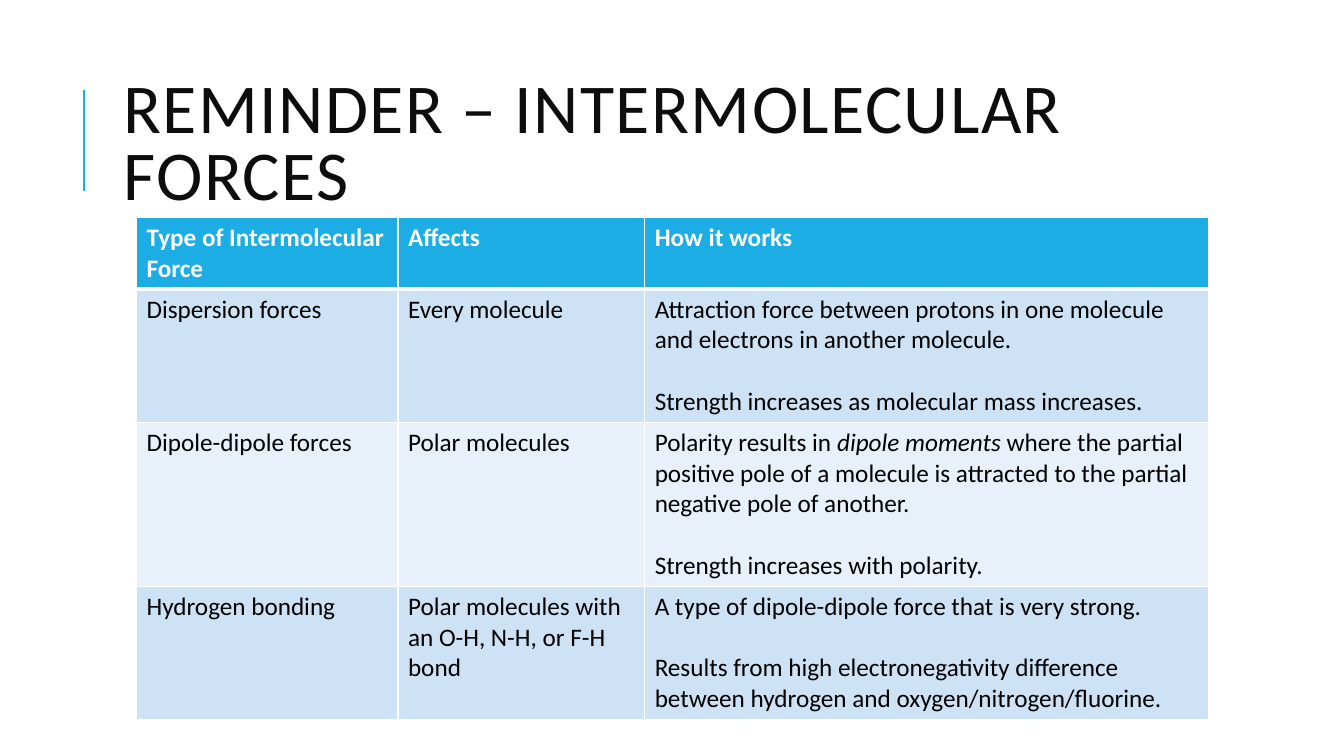
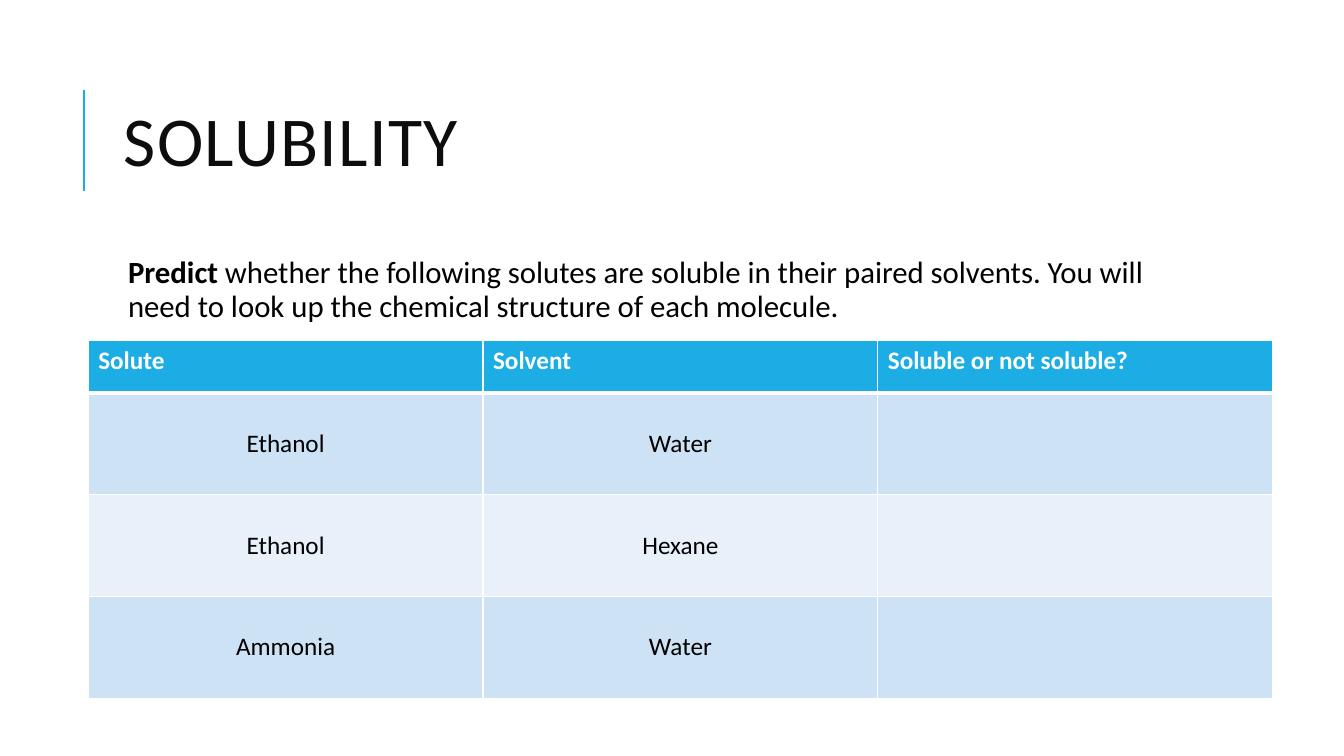
"""Build two chemistry slides: intermolecular forces and solubility."""
from dataclasses import dataclass

from lxml.etree import SubElement
from pptx import Presentation
from pptx.dml.color import RGBColor
from pptx.enum.shapes import MSO_CONNECTOR as Connector
from pptx.enum.text import MSO_ANCHOR as Anchor, MSO_AUTO_SIZE as AutoSize, PP_ALIGN as Align
from pptx.oxml.ns import qn
from pptx.slide import Slide
from pptx.table import _Cell as Cell
from pptx.text.text import TextFrame, _Paragraph as Paragraph
from pptx.util import Emu, Pt

PX = 9525
FONT = "Calibri"
COLORS = {
    "accent": "1CADE4",
    "title": "0D0D0D",
    "text": "000000",
    "white": "FFFFFF",
    "band_dark": "CDE3F5",
    "band_light": "E8F1FA",
}
BLANK_LINE = 22


@dataclass(frozen=True)
class Box:
    """A rectangle in px."""
    left: int
    top: int
    width: int
    height: int


@dataclass(frozen=True)
class Run:
    """A piece of text with its own emphasis."""
    text: str
    bold: bool = False
    italic: bool = False


Text = tuple[tuple[Run, ...], ...]


@dataclass(frozen=True)
class Grid:
    """A table with its place in px; the first row is the header."""
    left: int
    top: int
    cols: tuple[int, ...]
    heights: tuple[int, ...]
    rows: tuple[tuple[Text, ...], ...]
    centered: bool = False


TITLE_BOX = Box(108, 61, 1020, 157)
PROMPT_BOX = Box(108, 240, 1020, 422)


def px(n: int) -> Emu:
    """Turn px into EMU."""
    return Emu(n * PX)


def place(box: Box) -> tuple[Emu, Emu, Emu, Emu]:
    """Give a box as EMU lengths."""
    return px(box.left), px(box.top), px(box.width), px(box.height)


def rgb(name: str) -> RGBColor:
    """Look up a colour."""
    return RGBColor.from_string(COLORS[name])


def plain(*lines: str) -> Text:
    """Make one unemphasised paragraph from each line."""
    return tuple((Run(line),) for line in lines)


def style(p: Paragraph, size: int, color: str, bold: bool = False) -> None:
    """Set the font of a paragraph."""
    p.font.name = FONT
    p.font.size = Pt(size)
    p.font.bold = bold
    p.font.color.rgb = rgb(color)


def write(tf: TextFrame, text: Text, size: int, color: str, bold: bool = False) -> None:
    """Fill a text frame, leaving one line's space between paragraphs."""
    for i, runs in enumerate(text):
        p = tf.add_paragraph() if i else tf.paragraphs[0]
        if i:
            p.space_before = Pt(BLANK_LINE)
        style(p, size, color, bold)
        for run in runs:
            r = p.add_run()
            r.text = run.text
            if run.bold:
                r.font.bold = True
            if run.italic:
                r.font.italic = True


def add_titled_slide(prs: Presentation, title: str) -> Slide:
    """Add a slide with the shared title and accent line."""
    s = prs.slides.add_slide(prs.slide_layouts[5])
    line = s.shapes.add_connector(Connector.STRAIGHT, px(80), px(182), px(80), px(86))
    line.line.color.rgb = rgb("accent")
    line.line.width = Pt(1.5)
    SubElement(line._element.spPr, qn("a:effectLst"))
    sp = s.shapes.title
    sp.left, sp.top, sp.width, sp.height = place(TITLE_BOX)
    tf = sp.text_frame
    tf.word_wrap = True
    tf.auto_size = AutoSize.NONE
    tf.vertical_anchor = Anchor.MIDDLE
    write(tf, plain(title), 50, "title")
    p = tf.paragraphs[0]
    p.alignment = Align.LEFT
    p.line_spacing = 0.8
    p.runs[0]._r.get_or_add_rPr().set("spc", "100")
    return s


def set_borders(cell: Cell, row: int) -> None:
    """Draw white cell borders, thicker beneath the header."""
    widths = {"L": 1, "R": 1, "T": 3 if row == 1 else 1, "B": 3 if row == 0 else 1}
    tc_pr = cell._tc.get_or_add_tcPr()
    for side, width in widths.items():
        ln = SubElement(tc_pr, qn(f"a:ln{side}"), w=str(Pt(width)))
        fill = SubElement(ln, qn("a:solidFill"))
        SubElement(fill, qn("a:srgbClr"), val=COLORS["white"])


def add_grid(s: Slide, grid: Grid) -> None:
    """Add a banded table with a coloured header."""
    box = Box(grid.left, grid.top, sum(grid.cols), sum(grid.heights))
    table = s.shapes.add_table(len(grid.rows), len(grid.cols), *place(box)).table
    table.horz_banding = False
    for col, width in zip(table.columns, grid.cols):
        col.width = px(width)
    for row, (texts, height) in enumerate(zip(grid.rows, grid.heights)):
        table.rows[row].height = px(height)
        header = row == 0
        band = "accent" if header else "band_dark" if row % 2 else "band_light"
        for col, text in enumerate(texts):
            cell = table.cell(row, col)
            set_borders(cell, row)
            cell.fill.solid()
            cell.fill.fore_color.rgb = rgb(band)
            write(cell.text_frame, text, 18, "white" if header else "text", header)
            if grid.centered and not header:
                cell.vertical_anchor = Anchor.MIDDLE
                cell.text_frame.paragraphs[0].alignment = Align.CENTER


def add_prompt(s: Slide, text: Text) -> None:
    """Add the task text under the title."""
    tf = s.shapes.add_textbox(*place(PROMPT_BOX)).text_frame
    tf.word_wrap = True
    tf.margin_left = px(14)
    tf.margin_top = tf.margin_right = tf.margin_bottom = px(5)
    write(tf, text, 22, "text")
    tf.paragraphs[0].line_spacing = 0.9


FORCES = Grid(130, 207, (249, 235, 537), (67, 127, 156, 126), (
    (plain("Type of Intermolecular Force"), plain("Affects"), plain("How it works")),
    (plain("Dispersion forces"), plain("Every molecule"), plain(
        "Attraction force between protons in one molecule and electrons in another molecule.",
        "Strength increases as molecular mass increases.")),
    (plain("Dipole-dipole forces"), plain("Polar molecules"), (
        (Run("Polarity results in "), Run("dipole moments", italic=True),
         Run(" where the partial positive pole of a molecule is attracted to the partial "
             "negative pole of another.")),
        (Run("Strength increases with polarity."),))),
    (plain("Hydrogen bonding"), plain("Polar molecules with an O-H, N-H, or F-H bond"), plain(
        "A type of dipole-dipole force that is very strong.",
        "Results from high electronegativity difference between hydrogen and "
        "oxygen/nitrogen/fluorine.")),
))

SOLUBILITY = Grid(84, 324, (376,) * 3, (50,) + (97,) * 3, (
    (plain("Solute"), plain("Solvent"), plain("Soluble or not soluble?")),
    (plain("Ethanol"), plain("Water"), ()),
    (plain("Ethanol"), plain("Hexane"), ()),
    (plain("Ammonia"), plain("Water"), ()),
), centered=True)

PROMPT: Text = ((
    Run("Predict", bold=True),
    Run(" whether the following solutes are soluble in their paired solvents. "
        "You will need to look up the chemical structure of each molecule."),
),)


def main() -> None:
    """Build and save the presentation."""
    prs = Presentation()
    prs.slide_width, prs.slide_height = px(1280), px(720)
    add_grid(add_titled_slide(prs, "REMINDER – INTERMOLECULAR FORCES"), FORCES)
    s = add_titled_slide(prs, "SOLUBILITY")
    add_prompt(s, PROMPT)
    add_grid(s, SOLUBILITY)
    prs.save("out.pptx")


if __name__ == "__main__":
    main()
